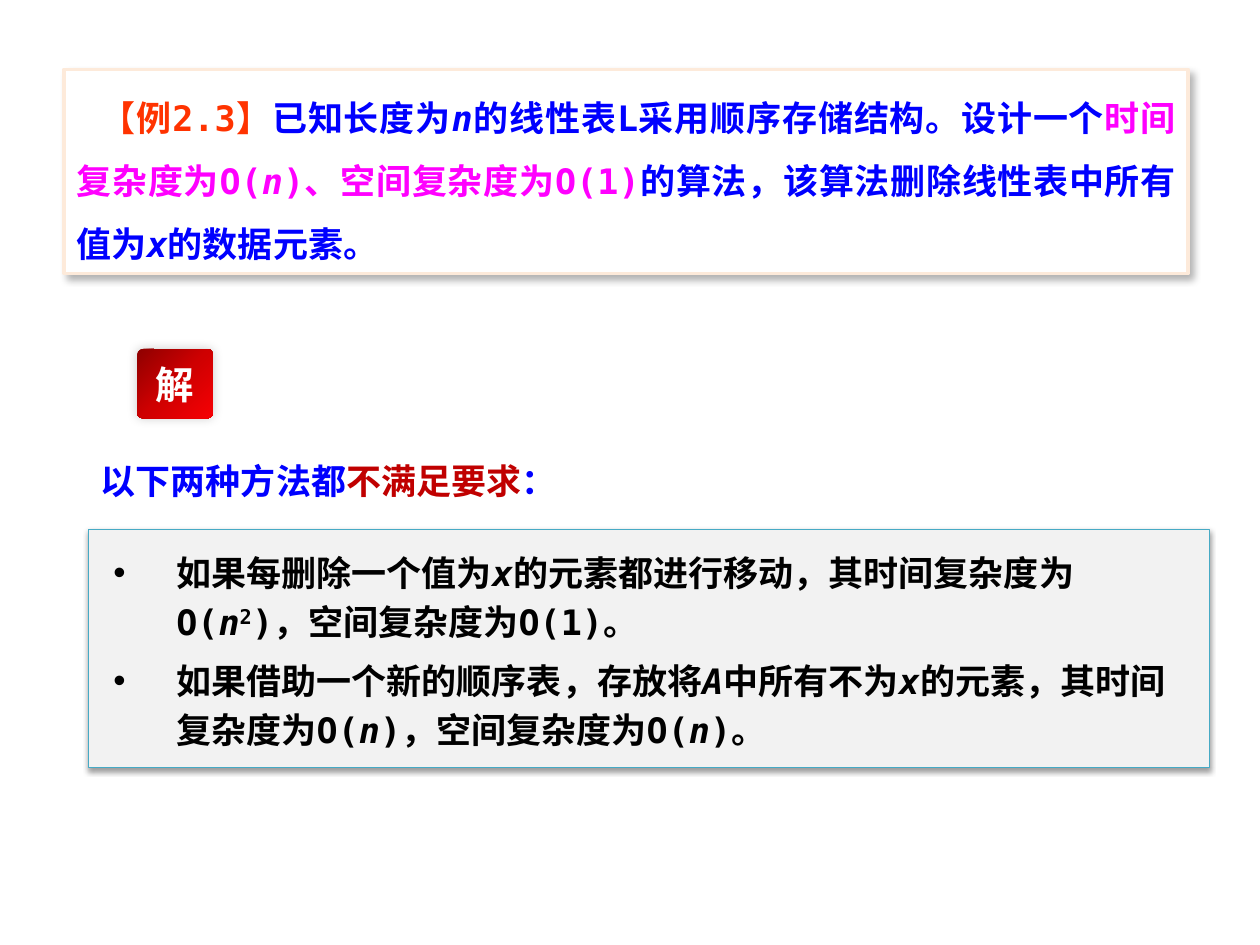
import pptx
import pptx.util
from lxml import etree
from pptx.dml.color import RGBColor
from pptx.enum.shapes import MSO_SHAPE
from pptx.enum.text import MSO_ANCHOR, MSO_AUTO_SIZE, PP_ALIGN
from pptx.oxml.ns import qn
from pptx.util import Inches, Pt

THEME = {
    "tag": "FF3300", "main": "0000FF", "limit": "FF00FF", "warn": "C00000",
    "ink": "000000", "light": "FFFFFF", "panel": "F2F2F2",
    "frame": "FDEADA", "edge": "46AAC5",
    "badge": ((0, "8F0000"), (50, "CF0001"), (100, "F60004")),
    "latin": "DejaVu Sans Mono", "cjk": "Noto Sans CJK SC",
    "text_size": 20, "badge_size": 22,
}

# Each span is (text, colour role); text between asterisks is italic,
# text between carets is superscript.
PROBLEM = [
    ("【例2.3】", "tag"),
    ("已知长度为*n*的线性表L采用顺序存储结构。设计一个", "main"),
    ("时间复杂度为O(*n*)、空间复杂度为O(1)", "limit"),
    ("的算法，该算法删除线性表中所有值为*x*的数据元素。", "main"),
]
HEADING = [("以下两种方法都", "main"), ("不满足要求", "warn"), ("：", "main")]
METHODS = [
    [("如果每删除一个值为*x*的元素都进行移动，其时间复杂度为O(*n*^2^)，空间复杂度为O(1)。", "ink")],
    [("如果借助一个新的顺序表，存放将*A*中所有不为*x*的元素，其时间复杂度为O(*n*)，空间复杂度为O(*n*)。", "ink")],
]
BADGE = [("解", "light")]

PLACES = {  # left, top, width, height in inches
    "problem": (0.51, 0.55, 8.92, 1.62),
    "badge": (1.09, 2.77, 0.6, 0.55),
    "heading": (0.7, 3.6, 6.14, 0.44),
    "methods": (0.7, 4.2, 8.9, 1.89),
}


def colour(role):
    return RGBColor.from_string(THEME[role])


def add_child(parent, tag, **attributes):
    return etree.SubElement(parent, qn(tag), {k: str(v) for k, v in attributes.items()})


def place(shape, name):
    shape.left, shape.top, shape.width, shape.height = map(Inches, PLACES[name])


def prepare_frame(shape, anchor=MSO_ANCHOR.TOP, wrap=True):
    frame = shape.text_frame
    frame.auto_size = MSO_AUTO_SIZE.NONE
    frame.vertical_anchor = anchor
    frame.word_wrap = wrap
    return frame


def write(para, spans, size=THEME["text_size"], latin=THEME["latin"]):
    for text, role in spans:
        for i, chunk in enumerate(text.split("*")):
            for j, piece in enumerate(chunk.split("^")):
                if not piece:
                    continue
                span = para.add_run()
                span.text = piece
                span.font.size = Pt(size)
                span.font.bold = True
                span.font.italic = i % 2 == 1
                span.font.name = latin
                span.font.color.rgb = colour(role)
                properties = span.font._element
                add_child(properties, "a:ea", typeface=THEME["cjk"])
                if j % 2:
                    properties.set("baseline", "30000")


def set_indent(para, first, left=0):
    properties = para._p.get_or_add_pPr()
    properties.set("marL", str(Inches(left)))
    properties.set("indent", str(Inches(first)))
    return properties


def paint(shape, fill, line, width):
    shape.fill.solid()
    shape.fill.fore_color.rgb = colour(fill)
    shape.line.color.rgb = colour(line)
    shape.line.width = Pt(width)


def cast_shadow(shape, alpha, blur, distance, angle):
    shape.shadow.inherit = False
    effects = shape._element.spPr.find(qn("a:effectLst"))
    shadow = add_child(effects, "a:outerShdw", blurRad=Pt(blur), dist=Pt(distance),
                       dir=angle * 60000, algn="ctr", rotWithShape=0)
    add_child(add_child(shadow, "a:srgbClr", val="000000"), "a:alpha", val=alpha * 1000)


def fill_gradient(shape, stops, angle):
    shape.fill.gradient()
    gradient = shape._element.spPr.find(qn("a:gradFill"))
    for child in list(gradient):
        gradient.remove(child)
    stop_list = add_child(gradient, "a:gsLst")
    for position, value in stops:
        stop = add_child(stop_list, "a:gs", pos=position * 1000)
        add_child(stop, "a:srgbClr", val=value)
    add_child(gradient, "a:lin", ang=angle * 60000, scaled=0)


def add_problem(page):
    box = page.shapes.add_shape(MSO_SHAPE.RECTANGLE, *map(Inches, PLACES["problem"]))
    paint(box, "light", "frame", 2)
    cast_shadow(box, alpha=30, blur=4.5, distance=2.6, angle=53)
    para = prepare_frame(box).paragraphs[0]
    para.alignment = PP_ALIGN.JUSTIFY
    para.line_spacing = 1.5
    set_indent(para, 0.19)
    write(para, PROBLEM)


def add_badge(page):
    badge = page.shapes.add_shape(MSO_SHAPE.ROUNDED_RECTANGLE, *map(Inches, PLACES["badge"]))
    badge.adjustments[0] = 0.08
    fill_gradient(badge, THEME["badge"], 45)
    badge.line.fill.background()
    cast_shadow(badge, alpha=20, blur=6, distance=0, angle=225)
    para = prepare_frame(badge, MSO_ANCHOR.MIDDLE, wrap=False).paragraphs[0]
    para.alignment = PP_ALIGN.CENTER
    write(para, BADGE, THEME["badge_size"], THEME["cjk"])


def fill_heading(title):
    place(title, "heading")
    para = prepare_frame(title).paragraphs[0]
    para.alignment = PP_ALIGN.LEFT
    para.space_before = Pt(0)
    write(para, HEADING)


def fill_methods(body):
    place(body, "methods")
    paint(body, "panel", "edge", 0.75)
    cast_shadow(body, alpha=38, blur=3.1, distance=1.6, angle=90)
    frame = prepare_frame(body)
    frame.margin_left = Inches(0.2)
    frame.margin_top = frame.margin_bottom = Inches(0.12)
    for number, spans in enumerate(METHODS):
        para = frame.add_paragraph() if number else frame.paragraphs[0]
        properties = set_indent(para, -0.5, left=0.5)
        add_child(properties, "a:buFont", typeface="Arial")
        add_child(properties, "a:buChar", char="•")
        para.line_spacing = Pt(28)
        para.space_before = Pt(6 if number else 0)
        write(para, spans)


def main():
    deck = pptx.Presentation()
    deck.slide_width, deck.slide_height = Inches(10), Inches(7.5)
    page = deck.slides.add_slide(deck.slide_layouts[1])
    add_problem(page)
    add_badge(page)
    fill_heading(page.shapes.title)
    fill_methods(page.placeholders[1])
    deck.save("out.pptx")


if __name__ == "__main__":
    main()
